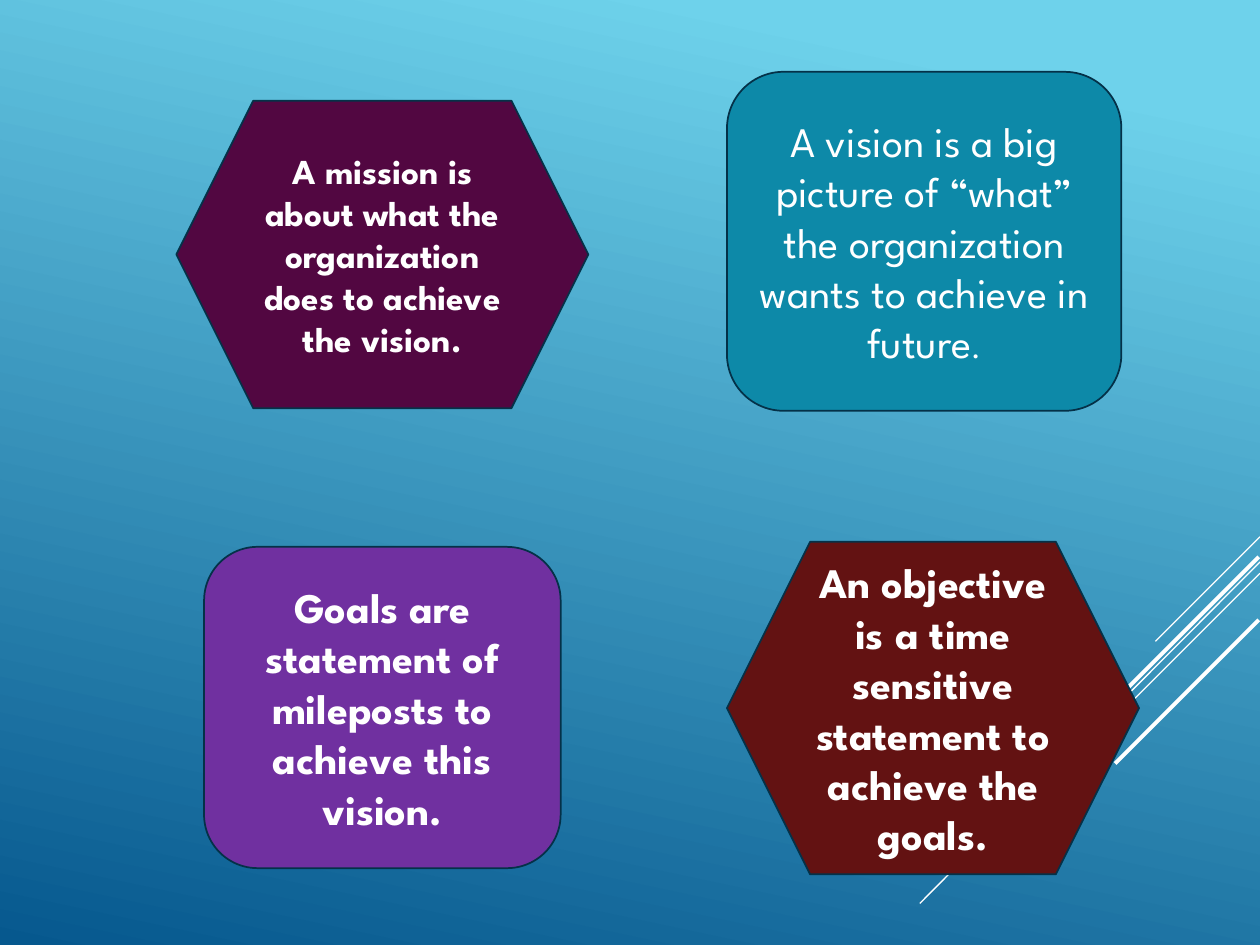
from lxml import etree
from pptx import Presentation
from pptx import util as u
from pptx.dml.color import RGBColor
from pptx.enum import shapes, text
from pptx.oxml.ns import qn


def color(value):
    return RGBColor.from_string(value)


class SlideBuilder:
    font = "League Spartan"
    white = "FFFFFF"
    outline = "043148"

    def __init__(self, slide):
        self.slide = slide

    def background(self, stops, angle):
        fill = self.slide.background.fill
        fill.gradient()
        fill.gradient_angle = angle
        for stop, (position, value) in zip(fill.gradient_stops, stops):
            stop.position = position
            stop.color.rgb = color(value)

    def streak(self, start, end, width):
        points = [u.Inches(value) for value in (*start, *end)]
        streak = self.slide.shapes.add_connector(shapes.MSO_CONNECTOR.STRAIGHT, *points)
        streak.line.color.rgb = color(self.white)
        streak.line.width = u.Pt(width)
        etree.SubElement(streak._element.spPr, qn("a:effectLst"))

    def card(self, preset, place, fill, runs, bold=True):
        card = self.slide.shapes.add_shape(preset, *map(u.Inches, place))
        card.shadow.inherit = False
        card.fill.solid()
        card.fill.fore_color.rgb = color(fill)
        card.line.color.rgb = color(self.outline)
        card.line.width = u.Pt(1)
        frame = card.text_frame
        frame.word_wrap = True
        frame.vertical_anchor = text.MSO_ANCHOR.MIDDLE
        statement = frame.paragraphs[0]
        statement.alignment = text.PP_ALIGN.CENTER
        for words, size in runs:
            run = statement.add_run()
            run.text = words
            formats = {"name": self.font, "size": u.Pt(size), "bold": bold}
            for attribute, value in formats.items():
                setattr(run.font, attribute, value)
            run.font.color.rgb = color(self.white)


def main():
    deck = Presentation()
    deck.slide_width, deck.slide_height = u.Inches(10), u.Inches(7.5)
    builder = SlideBuilder(deck.slides.add_slide(deck.slide_layouts[6]))
    builder.background([(0.1, "6ED2EB"), (1, "06588E")], 258)

    streaks = [
        ((10, 4.26), (9.17, 5.09), 0.75),
        ((10, 4.46), (7.3, 7.17), 0.75),
        ((10, 4.55), (8.28, 6.27), 0.75),
        ((9.99, 4.42), (8.42, 5.99), 2.25),
        ((9.99, 4.92), (8.85, 6.06), 2.25),
    ]
    for start, end, width in streaks:
        builder.streak(start, end, width)

    hexagon = shapes.MSO_SHAPE.HEXAGON
    rounded = shapes.MSO_SHAPE.ROUNDED_RECTANGLE
    mission = "A mission is about what the organization does to achieve the vision."
    vision = "A vision is a big picture of “what” the organization wants to achieve in future"
    objective = "An objective is a time sensitive statement to achieve the goals."
    goals = "Goals are statement of mileposts to achieve this vision."
    builder.card(hexagon, (1.4, 0.8, 3.27, 2.44), "520741", [(mission, 20)])
    builder.card(rounded, (5.77, 0.57, 3.13, 2.69), "0D89A8", [(vision, 24), (".", 18)], bold=False)
    builder.card(hexagon, (5.77, 4.3, 3.27, 2.64), "631212", [(objective, 24)])
    builder.card(rounded, (1.62, 4.34, 2.83, 2.55), "7030A0", [(goals, 24)])

    deck.save("out.pptx")


if __name__ == "__main__":
    main()
